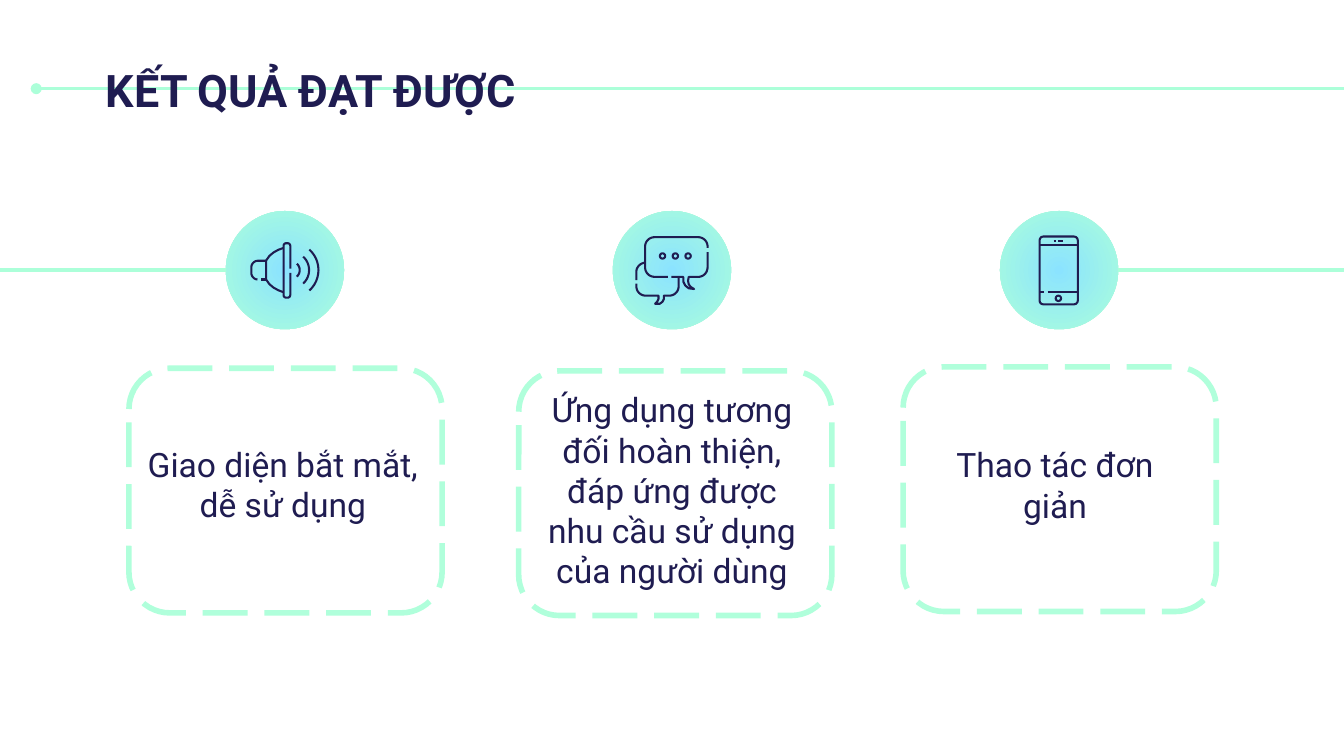
import math

import pptx
import pptx.dml.color
import pptx.enum.dml
import pptx.enum.shapes
import pptx.enum.text
import pptx.oxml
import pptx.oxml.ns
import pptx.util

PX = 4572
COLORS = {"ink": "1F1C51", "mint": "ACFFD9", "sky": "8BE3FF", "frame": "B0FFDB"}
SHAPES = pptx.enum.shapes.MSO_SHAPE
DISC = 176


def color(name):
    """Return the named colour."""
    return pptx.dml.color.RGBColor.from_string(COLORS[name])


def px(*lengths):
    """Turn px lengths into EMU."""
    return [round(length * PX) for length in lengths]


def style_line(shape, name, width):
    """Set line colour and width in points."""
    shape.line.color.rgb = color(name)
    shape.line.width = pptx.util.Pt(width)


def add_outline(page, preset, box, name, width):
    """Add an unfilled preset shape."""
    shape = page.shapes.add_shape(preset, *px(*box))
    shape.shadow.inherit = False
    shape.fill.background()
    style_line(shape, name, width)
    return shape


def add_rule(page, start, end, width):
    """Add a straight mint line and return it."""
    rule = page.shapes.add_connector(
        pptx.enum.shapes.MSO_CONNECTOR.STRAIGHT, *px(*start, *end))
    style_line(rule, "mint", width)
    rule._element.spPr.append(pptx.oxml.parse_xml(
        f'<a:effectLst {pptx.oxml.ns.nsdecls("a")}/>'))
    return rule


def add_text(page, box, text, size, bold=False, centered=False):
    """Add a wrapped text box holding one run."""
    frame = page.shapes.add_textbox(*px(*box)).text_frame
    frame.word_wrap = True
    frame.margin_left = frame.margin_right = px(20)[0]
    frame.margin_top = frame.margin_bottom = px(20)[0]
    para = frame.paragraphs[0]
    if centered:
        frame.vertical_anchor = pptx.enum.text.MSO_ANCHOR.MIDDLE
        para.alignment = pptx.enum.text.PP_ALIGN.CENTER
    span = para.add_run()
    span.text = text
    span.font.name = "Roboto"
    span.font.size = pptx.util.Pt(size)
    span.font.bold = bold
    span.font.color.rgb = color("ink")


def arc(x, y, radius, start, end):
    """Return points along an arc, with angles in degrees clockwise from the right."""
    angles = [math.radians(start + (end - start) * step / 12) for step in range(13)]
    return [(x + radius * math.cos(a), y + radius * math.sin(a)) for a in angles]


def add_stroke(page, center, points):
    """Draw an open ink line through points relative to a center."""
    spots = [px(center[0] + x, center[1] + y) for x, y in points]
    builder = page.shapes.build_freeform(*spots[0], scale=1.0)
    builder.add_line_segments(spots[1:], close=False)
    stroke = builder.convert_to_shape()
    stroke.shadow.inherit = False
    stroke.fill.background()
    style_line(stroke, "ink", 1.1)


def add_ring(page, center, x, y, radius=4):
    """Draw a small ink ring relative to a center."""
    box = (center[0] + x - radius, center[1] + y - radius, 2 * radius, 2 * radius)
    add_outline(page, SHAPES.OVAL, box, "ink", 1.1)


def draw_speaker(page, center):
    """Draw a loudspeaker with three sound waves."""
    strokes = [arc(9, 0, radius, -48, 48) for radius in (13, 27, 41)]
    strokes += [
        [(8, -2), *arc(4, -36, 4, 0, -90), *arc(2, -36, 4, -90, -180),
         *arc(2, 37, 4, 180, 90), *arc(4, 37, 4, 90, 0), (8, 4)],
        [(-2, -33), (-10, -30), (-17, -26), (-23, -21), (-28, -14),
         (-28, 14), (-23, 21), (-17, 26), (-10, 30), (-2, 33)],
        [(-28, -14), *arc(-40, -4, 10, -90, -180), *arc(-40, 4, 10, 180, 95)],
        [(-35, 14), (-28, 14)],
    ]
    for points in strokes:
        add_stroke(page, center, points)


def draw_chat(page, center):
    """Draw two overlapping speech bubbles."""
    strokes = [
        [(-6, 10), *arc(-26, -4, 14, 90, 180), *arc(-26, -35, 14, 180, 270),
         *arc(39, -35, 14, -90, 0), (53, -33)],
        [(53, -27), *arc(39, -4, 14, 0, 90), (25, 10), (24, 16), (25, 21),
         (28, 25), (33, 28), (25, 27), (20, 23), (17, 17), (17, 10), (-1, 10)],
        [(-41, -11), *arc(-39, 3, 14, -100, -180), (-53, 15)],
        [(-53, 20), *arc(-39, 24, 14, 180, 90), (-20, 38), (-20, 43),
         (-22, 47), (-25, 50), (-18, 50), (-14, 47), (-12, 43), (-12, 38),
         *arc(-4, 24, 14, 90, 0), (10, 12)],
    ]
    for points in strokes:
        add_stroke(page, center, points)
    for x in (-14, 5, 24):
        add_ring(page, center, x, -21)


def draw_phone(page, center):
    """Draw a mobile phone."""
    body = (center[0] - 29, center[1] - 50, 57, 101)
    add_outline(page, SHAPES.ROUNDED_RECTANGLE, body, "ink", 1.1).adjustments[0] = 0.1
    for left, right, y in ((-29, 28, -38), (-29, -23, 33), (-17, 28, 33),
                           (-1, 6, -44), (-8, -5, -44)):
        add_stroke(page, center, [(left, y), (right, y)])
    add_ring(page, center, -1, 42)


def add_disc(page, left, top, draw_icon):
    """Add a radial gradient disc with its icon."""
    disc = page.shapes.add_shape(SHAPES.OVAL, *px(left, top, DISC, DISC))
    disc.shadow.inherit = False
    disc.line.fill.background()
    disc.fill.gradient()
    for stop, name in zip(disc.fill.gradient_stops, ("sky", "mint")):
        stop.color.rgb = color(name)
    gradient = disc._element.spPr.find(pptx.oxml.ns.qn("a:gradFill"))
    gradient.remove(gradient.find(pptx.oxml.ns.qn("a:lin")))
    gradient.append(pptx.oxml.parse_xml(
        f'<a:path {pptx.oxml.ns.nsdecls("a")} path="circle">'
        '<a:fillToRect l="50000" t="50000" r="50000" b="50000"/></a:path>'))
    draw_icon(page, (left + DISC // 2, top + DISC // 2))


def add_card(page, left, top, text, text_box):
    """Add a dashed frame with text placed relative to its corner."""
    x, y, width, height = text_box
    add_text(page, (left + x, top + y, width, height), text, 18, centered=True)
    frame = add_outline(
        page, SHAPES.ROUNDED_RECTANGLE, (left, top, 466, 364), "frame", 3)
    frame.line.dash_style = pptx.enum.dml.MSO_LINE.LONG_DASH


def add_header(page, left, top, title):
    """Add the title over a line that starts with a dot."""
    rule = add_rule(page, (left, top + 58), (left + 1966, top + 58), 1.5)
    rule.line._ln.append(pptx.oxml.parse_xml(
        f'<a:headEnd {pptx.oxml.ns.nsdecls("a")} type="oval"/>'))
    add_text(page, (left + 84, top, 1330, 118), title, 24, bold=True)


def add_icon_row(page, left, top):
    """Add three evenly spaced discs and the lines leaving the row."""
    pitch = 576
    middle = top + DISC // 2
    for index, draw_icon in enumerate((draw_speaker, draw_chat, draw_phone)):
        add_disc(page, left + index * pitch, top, draw_icon)
    right = left + 2 * pitch + DISC
    add_rule(page, (left, middle), (-48, middle), 2.25)
    add_rule(page, (right, middle), (2012, middle), 2.25)


def main():
    """Build and save the slide."""
    deck = pptx.Presentation()
    deck.slide_width, deck.slide_height = px(2000, 1125)
    page = deck.slides.add_slide(deck.slide_layouts[6])
    add_header(page, 54, 74, "KẾT QUẢ ĐẠT ĐƯỢC")
    add_icon_row(page, 336, 314)
    cards = (
        (192, 548, "Giao diện bắt mắt, dễ sử dụng", (8, 10, 442, 324)),
        (772, 552, "Ứng dụng tương đối hoàn thiện, đáp ứng được nhu cầu "
         "sử dụng của người dùng", (20, 6, 416, 342)),
        (1344, 546, "Thao tác đơn giản", (6, 14, 440, 322)),
    )
    for card in cards:
        add_card(page, *card)
    deck.save("out.pptx")


if __name__ == "__main__":
    main()
